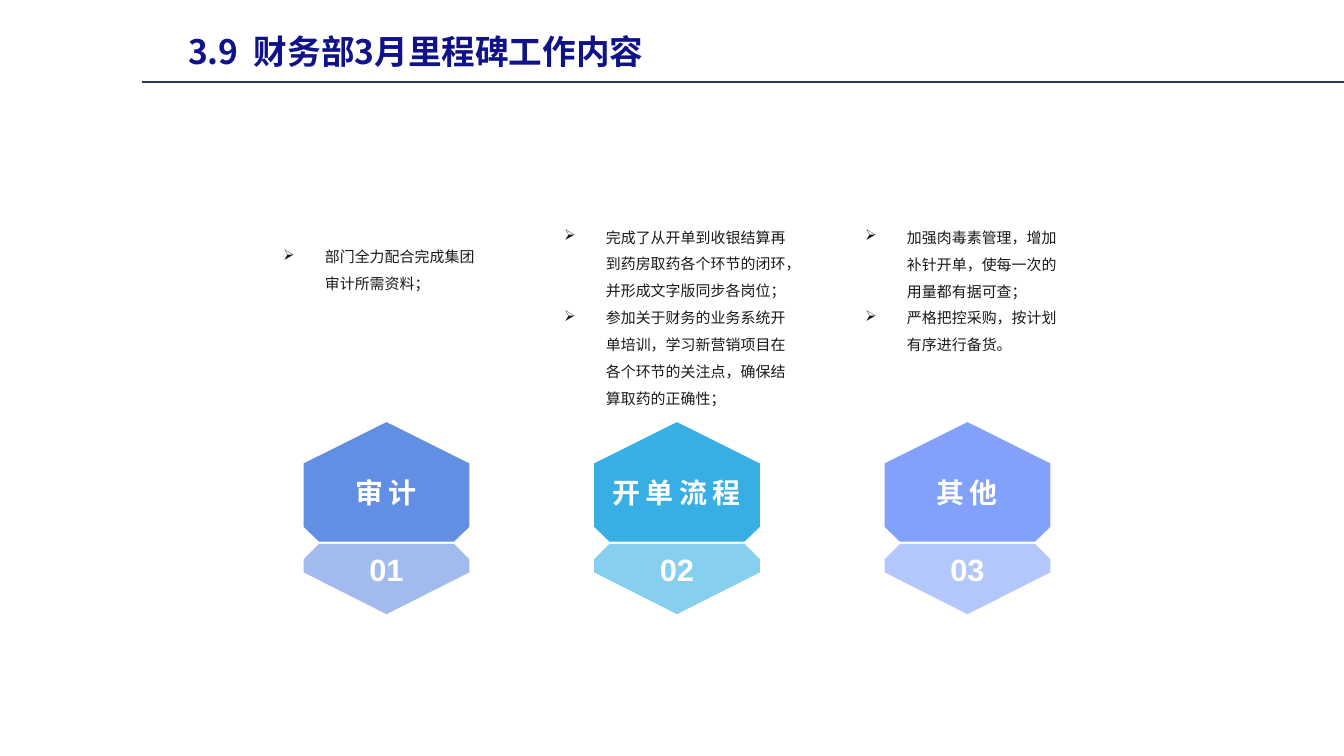
from pptx import Presentation
from pptx.dml.color import RGBColor
from pptx.enum.shapes import MSO_CONNECTOR
from pptx.enum.text import MSO_ANCHOR, MSO_AUTO_SIZE, PP_ALIGN
from pptx.oxml.ns import qn
from pptx.util import Cm, Pt
from lxml import etree

TOP, MIDDLE, BOTTOM = MSO_ANCHOR.TOP, MSO_ANCHOR.MIDDLE, MSO_ANCHOR.BOTTOM
LEFT, CENTER = PP_ALIGN.LEFT, PP_ALIGN.CENTER
FIT = MSO_AUTO_SIZE.SHAPE_TO_FIT_TEXT
STRAIGHT = MSO_CONNECTOR.STRAIGHT

THEME = {
    "cjk": "Noto Sans CJK SC", "latin": "Arial",
    "title": "101289", "rule": "273A4F", "body": "171A1D", "white": "FFFFFF",
    "upper": ["628EE3", "37AFE5", "81A1FB"],
    "lower": ["A1BBEE", "87CFEF", "B3C7FD"],
    "title_size": 18, "body_size": 8, "label_size": 15, "number_size": 16.5,
}


def add_run(para, text, font, size, color, bold=False):
    run = para.add_run()
    run.text = text
    run.font.size = Pt(size)
    run.font.bold = bold
    run.font.color.rgb = RGBColor.from_string(color)
    run.font.name = font
    props = run._r.get_or_add_rPr()
    etree.SubElement(props, qn("a:ea")).set("typeface", THEME["cjk"])
    return props


def add_box(left, top, width, height, anchor):
    box = slide.shapes.add_textbox(Cm(left), Cm(top), Cm(width), Cm(height))
    frame = box.text_frame
    frame.word_wrap = True
    frame.vertical_anchor = anchor
    return frame


deck = Presentation()
deck.slide_width, deck.slide_height = Cm(25.4), Cm(14.29)
slide = deck.slides.add_slide(deck.slide_layouts[5])

title = slide.shapes.title
title.left, title.top, title.width, title.height = Cm(3.3), Cm(0.08), Cm(18.67), Cm(1.4)
frame = title.text_frame
frame.word_wrap = True
frame.vertical_anchor = TOP
frame.auto_size = FIT
para = frame.paragraphs[0]
para.alignment = LEFT
para.line_spacing = 1.5
add_run(para, "3.9  财务部3月里程碑工作内容", THEME["cjk"], THEME["title_size"], THEME["title"], True)

rule = slide.shapes.add_connector(STRAIGHT, Cm(2.69), Cm(1.55), Cm(25.4), Cm(1.55))
rule.line.color.rgb = RGBColor.from_string(THEME["rule"])
rule.line.width = Pt(1)
etree.SubElement(rule._element.spPr, qn("a:effectLst"))

FIRST, PITCH, WIDE, CUT = 5.74, 5.49, 3.13, 0.29
UPPER = [(WIDE / 2, 7.98), (WIDE, 8.76), (WIDE, 9.96), (WIDE - CUT, 10.24),
         (CUT, 10.24), (0, 9.96), (0, 8.76)]
LOWER = [(CUT, 10.28), (WIDE - CUT, 10.28), (WIDE, 10.57), (WIDE, 10.82),
         (WIDE / 2, 11.61), (0, 10.82), (0, 10.57)]

columns = [
    ("审计", (5.1, 4.09, 4.4, 1.57),
     ["部门全力配合完成集团审计所需资料；"]),
    ("开单流程", (10.41, 3.76, 4.75, 4.06),
     ["完成了从开单到收银结算再到药房取药各个环节的闭环，并形成文字版同步各岗位；",
      "参加关于财务的业务系统开单培训，学习新营销项目在各个环节的关注点，确保结算取药的正确性；"]),
    ("其他", (16.1, 3.71, 4.4, 3.1),
     ["加强肉毒素管理，增加补针开单，使每一次的用量都有据可查；",
      "严格把控采购，按计划有序进行备货。"]),
]

for i, (label, place, items) in enumerate(columns):
    left = FIRST + i * PITCH

    for points, color in ((UPPER, THEME["upper"][i]), (LOWER, THEME["lower"][i])):
        spots = [(Cm(left + x), Cm(y)) for x, y in points]
        outline = slide.shapes.build_freeform(*spots[0])
        outline.add_line_segments(spots[1:], close=True)
        shape = outline.convert_to_shape()
        shape.shadow.inherit = False
        shape.fill.solid()
        shape.fill.fore_color.rgb = RGBColor.from_string(color)
        shape.line.fill.background()

    frame = add_box(*place, BOTTOM)
    for j, item in enumerate(items):
        para = frame.add_paragraph() if j else frame.paragraphs[0]
        para.line_spacing = 1.5
        props = para._p.get_or_add_pPr()
        props.set("marL", str(Cm(0.79)))
        props.set("indent", str(-Cm(0.79)))
        etree.SubElement(props, qn("a:buChar")).set("char", "➢")
        add_run(para, item, THEME["cjk"], THEME["body_size"], THEME["body"])

    para = add_box(left - 0.08, 8.31, 3.28, 1.93, MIDDLE).paragraphs[0]
    para.alignment = CENTER
    para.line_spacing = 1.1
    props = add_run(para, label, THEME["latin"], THEME["label_size"], THEME["white"], True)
    props.set("spc", "300")

    para = add_box(left + 0.79, 10.28, 1.55, 1.02, TOP).paragraphs[0]
    para.alignment = CENTER
    add_run(para, f"{i + 1:02}", THEME["latin"], THEME["number_size"], THEME["white"], True)

deck.save("out.pptx")
